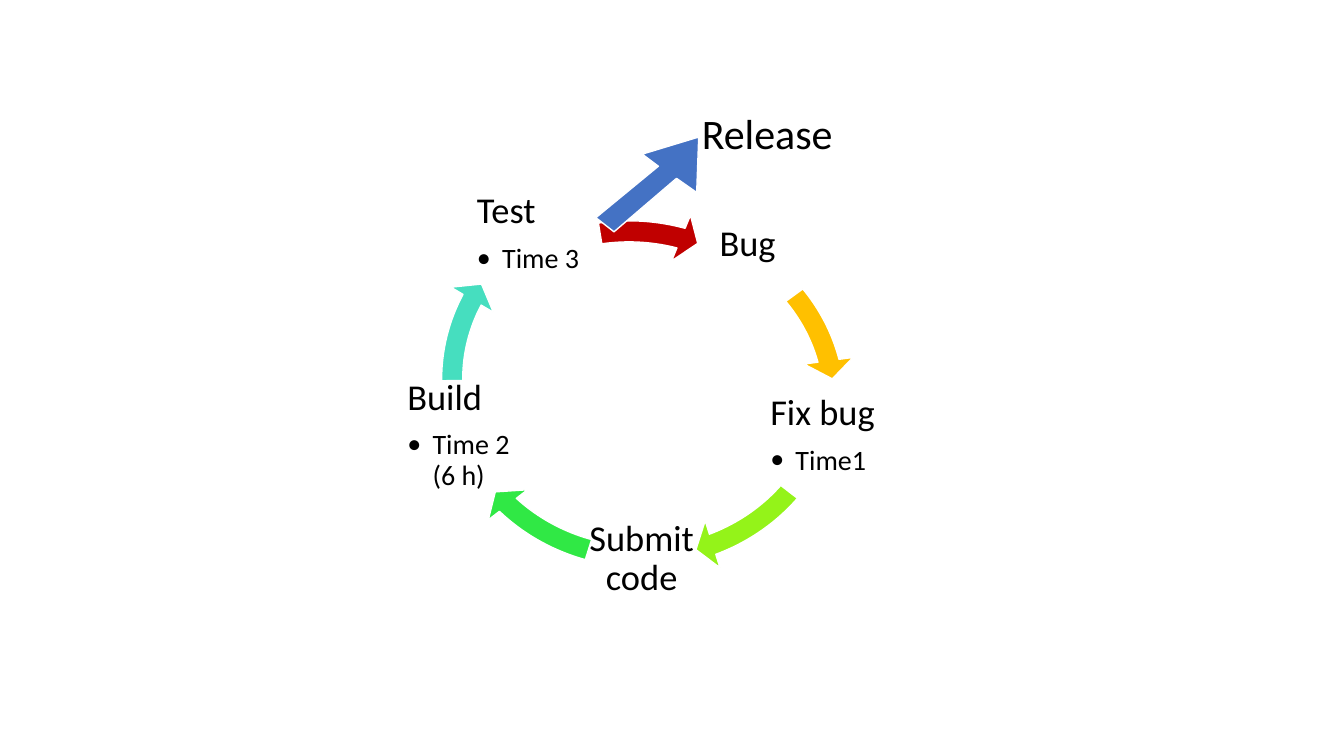
from lxml import etree
from pptx import Presentation
from pptx.dml.color import RGBColor
from pptx.enum.shapes import MSO_SHAPE
from pptx.enum.text import MSO_ANCHOR, PP_ALIGN
from pptx.oxml.ns import qn
from pptx.util import Inches, Pt

ARROW = MSO_SHAPE.CIRCULAR_ARROW
MIDDLE = MSO_ANCHOR.MIDDLE
CENTER, LEFT = PP_ALIGN.CENTER, PP_ALIGN.LEFT
FONT = "Calibri"

# Offsets from the corner of the cycle, in inches
STEPS = [  # title, detail, x, y
    ("Bug", None, 2.61, 0.14),
    ("Fix bug", "Time1", 3.36, 2.03),
    ("Submit code", None, 1.56, 3.26),
    ("Build", "Time 2 (6 h)", -0.24, 2.03),
    ("Test", "Time 3", 0.45, 0.03),
]
ARCS = [  # colour, x, y, start and end in degrees
    ("FFC000", 0.02, 0.25, 323.99, 346.73),
    ("94F319", 0, 0, 37.54, 66.93),
    ("30E845", 0, 0, 107.48, 136.86),
    ("46DEBF", 0, 0, 179.5, 204.98),
    ("C00000", -0.13, 0.3, 260.65, 286.88),
]
# Outline of the straight arrow, from the left wing round by the tip
EXIT = [(0.46, 0.17), (1.02, 0), (1, 0.55), (0.8, 0.41),
        (0.18, 0.94), (0, 0.8), (0.62, 0.29)]


def color(value):
    return RGBColor.from_string(value)


def paint(shape, fill):
    shape.shadow.inherit = False
    shape.fill.solid()
    shape.fill.fore_color.rgb = color(fill)
    shape.line.color.rgb = color("FFFFFF")
    shape.line.width = Pt(1)


def write(para, text, size, gap, align):
    para.text = text
    para.alignment = align
    para.line_spacing = 0.9
    para.space_after = Pt(size * gap)
    para.font.size = Pt(size)
    para.font.name = FONT
    para.font.color.rgb = color("000000")


def bullet(para):
    props = para._p.get_or_add_pPr()
    props.set("marL", str(Inches(0.25)))
    props.set("indent", str(-Inches(0.25)))
    face = etree.Element(qn("a:buFont"), typeface=FONT)
    mark = etree.Element(qn("a:buChar"), char="•")
    for part in (face, mark):
        props.insert_element_before(part, "a:tabLst", "a:defRPr", "a:extLst")


def label(slide, x, y, wide, high, title, detail=None, size=26):
    box = slide.shapes.add_textbox(*map(Inches, (x, y, wide, high)))
    frame = box.text_frame
    frame.word_wrap = True
    frame.vertical_anchor = MIDDLE
    frame.margin_left = frame.margin_right = Inches(0.04)
    frame.margin_top = frame.margin_bottom = Inches(0.04)
    write(frame.paragraphs[0], title, size, 0.35, LEFT if detail else CENTER)
    if detail:
        para = frame.add_paragraph()
        para.level = 1
        write(para, detail, 20, 0.15, LEFT)
        bullet(para)


def arc(slide, x, y, wide, high, fill, start, end):
    shape = slide.shapes.add_shape(ARROW, *map(Inches, (x, y, wide, high)))
    # Angles are kept as 0.6 per degree
    values = (0.052, 5.6 * 0.6, end * 0.6, start * 0.6, 0.061)
    for index, value in enumerate(values):
        shape.adjustments[index] = value
    paint(shape, fill)


# Ring of steps joined by curved arrows
def cycle(slide, left, top, wide, high):
    for step, bend in zip(STEPS, ARCS):
        title, detail, x, y = step
        label(slide, left + x, top + y, 1.13, 1.07, title, detail)
        fill, x, y, start, end = bend
        arc(slide, left + x, top + y, wide, high, fill, start, end)


# Way out of the ring: straight arrow and its label
def release(slide, left, top):
    spots = [(Inches(left + x), Inches(top + y)) for x, y in EXIT]
    outline = slide.shapes.build_freeform(*spots[0])
    outline.add_line_segments(spots[1:], close=True)
    paint(outline.convert_to_shape(), "4472C4")
    label(slide, left + 0.96, top - 0.64, 1.48, 1.25, "Release", size=30)


deck = Presentation()
deck.slide_width, deck.slide_height = Inches(13.33), Inches(7.5)
page = deck.slides.add_slide(deck.slide_layouts[6])
cycle(page, 4.24, 1.75, 4.26, 4.02)
release(page, 5.91, 1.36)
deck.save("out.pptx")
